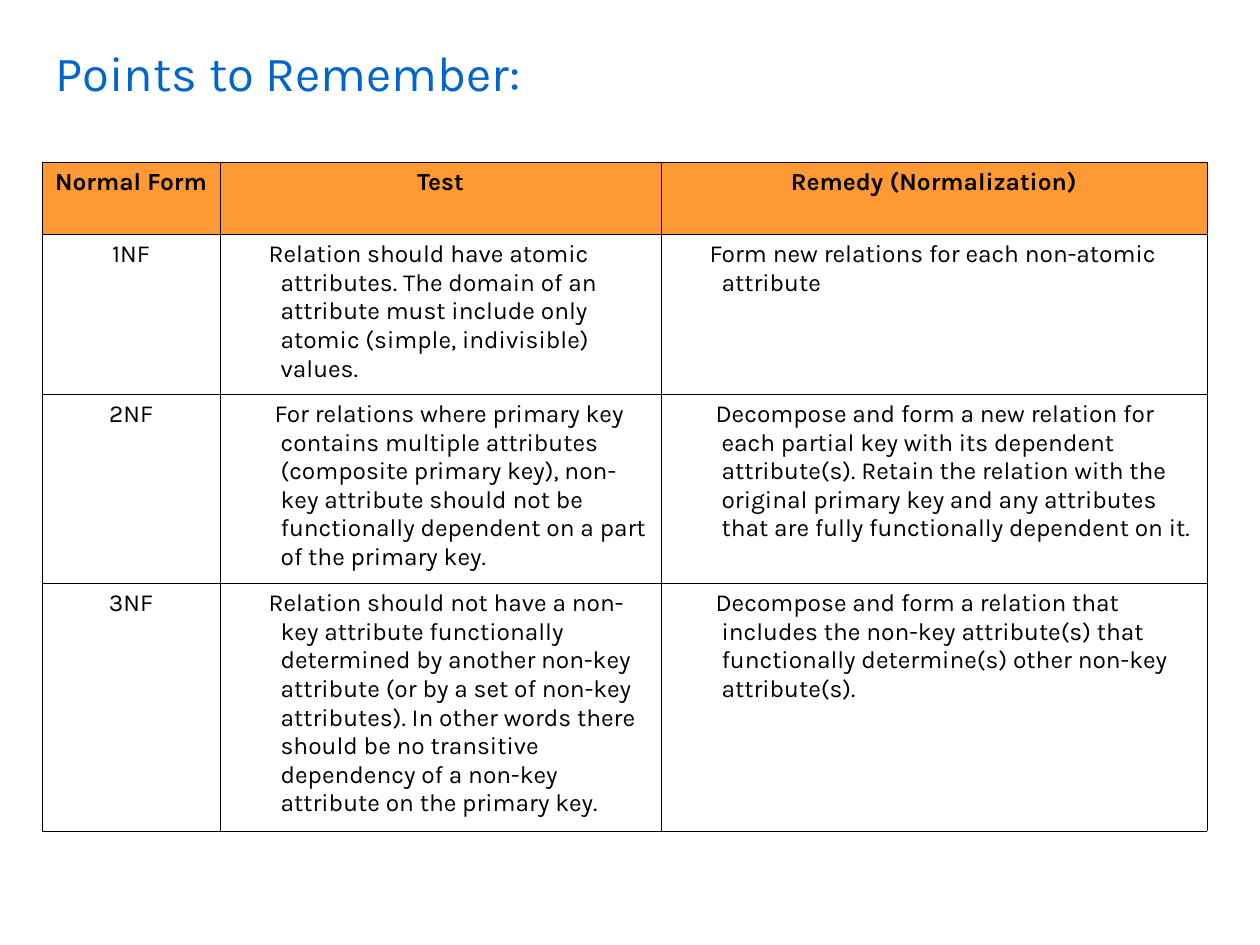
import pptx
import pptx.dml.color
import pptx.enum.text
import pptx.oxml.ns
import pptx.util
from lxml import etree

PX = 914400 // 126
FONT = "Karla"
COLORS = {"title": "0066CC", "header": "FF9933", "text": "000000", "border": "000000"}
BORDER_WIDTH = 0.45
NO_TABLE_STYLE = "{2D5ABB26-0587-4C30-8999-92F81FD0307C}"
ALIGN = pptx.enum.text.PP_ALIGN

# The table has an empty merged row above the header and an empty row below
COLUMN_WIDTHS = [178, 441, 546]
ROW_HEIGHTS = [36, 72, 160, 189, 248, 43]
HANGING_MARGIN = 48

HEADERS = ["Normal Form", "Test", "Remedy (Normalization)"]
# Each explanation is paired with its first-line outdent
FORMS = [
    ("1NF",
     ("Relation should have atomic attributes. The domain of an attribute must "
      "include only atomic (simple, indivisible) values.", 12),
     ("Form new relations for each non-atomic attribute", 12)),
    ("2NF",
     ("For relations where primary key contains multiple attributes (composite "
      "primary key), non-key attribute should not be functionally dependent on "
      "a part of the primary key.", 6),
     ("Decompose and form a new relation for each partial key with its dependent "
      "attribute(s). Retain the relation with the original primary key and any "
      "attributes that are fully functionally dependent on it.", 6)),
    ("3NF",
     ("Relation should not have a non-key attribute functionally determined by "
      "another non-key attribute (or by a set of non-key attributes). In other "
      "words there should be no transitive dependency of a non-key attribute on "
      "the primary key.", 12),
     ("Decompose and form a relation that includes the non-key attribute(s) that "
      "functionally determine(s) other non-key attribute(s).", 6)),
]


def px(length):
    return pptx.util.Emu(length * PX)


def color(name):
    return pptx.dml.color.RGBColor.from_string(COLORS[name])


def add_span(para, text, size, color_name, bold=False):
    span = para.add_run()
    span.text = text
    span.font.name = FONT
    span.font.size = pptx.util.Pt(size)
    span.font.bold = bold
    span.font.color.rgb = color(color_name)


def add_title(page, text):
    box = page.shapes.add_textbox(px(43), px(36), px(1182), px(71))
    frame = box.text_frame
    frame.word_wrap = True
    frame.vertical_anchor = pptx.enum.text.MSO_ANCHOR.MIDDLE
    add_span(frame.paragraphs[0], text, 28, "title")


def add_table(page):
    frame = page.shapes.add_table(len(ROW_HEIGHTS), len(COLUMN_WIDTHS), px(42), px(126),
                                  px(sum(COLUMN_WIDTHS)), px(sum(ROW_HEIGHTS)))
    table = frame.table
    table.first_row = table.horz_banding = False
    style = frame._element.find(".//" + pptx.oxml.ns.qn("a:tableStyleId"))
    style.text = NO_TABLE_STYLE
    for column, width in zip(table.columns, COLUMN_WIDTHS):
        column.width = px(width)
    for row, height in zip(table.rows, ROW_HEIGHTS):
        row.height = px(height)
    return table


def set_borders(cell, sides):
    qn = pptx.oxml.ns.qn
    properties = cell._tc.get_or_add_tcPr()
    for side in sides:
        line = etree.SubElement(properties, qn("a:ln" + side),
                                w=str(pptx.util.Pt(BORDER_WIDTH)))
        fill = etree.SubElement(line, qn("a:solidFill"))
        etree.SubElement(fill, qn("a:srgbClr"), val=COLORS["border"])


def format_cell(cell, sides, fill_name=None):
    cell.margin_left = cell.margin_right = pptx.util.Inches(0.1)
    cell.margin_top = cell.margin_bottom = pptx.util.Inches(0.05)
    set_borders(cell, sides)
    if fill_name:
        cell.fill.solid()
        cell.fill.fore_color.rgb = color(fill_name)
    else:
        cell.fill.background()


def fill_centered(cell, text, bold=False):
    para = cell.text_frame.paragraphs[0]
    para.alignment = ALIGN.CENTER
    add_span(para, text, 14, "text", bold)


def fill_hanging(cell, text, outdent):
    para = cell.text_frame.paragraphs[0]
    para.alignment = ALIGN.LEFT
    properties = para._p.get_or_add_pPr()
    properties.set("marL", str(px(HANGING_MARGIN)))
    properties.set("indent", str(-px(outdent)))
    add_span(para, text, 14, "text")


def format_empty(cell, side):
    format_cell(cell, side)
    # A small paragraph size keeps the row from growing
    etree.SubElement(cell.text_frame.paragraphs[0]._p,
                     pptx.oxml.ns.qn("a:endParaRPr"), sz="1000")


def main():
    deck = pptx.Presentation()
    deck.slide_width = pptx.util.Inches(10)
    deck.slide_height = pptx.util.Inches(7.5)
    page = deck.slides.add_slide(deck.slide_layouts[6])

    add_title(page, "Points to Remember:")
    table = add_table(page)
    last_row = len(ROW_HEIGHTS) - 1

    # Empty outer rows
    for column in range(len(COLUMN_WIDTHS)):
        format_empty(table.cell(0, column), "B")
        format_empty(table.cell(last_row, column), "T")
    table.cell(0, 0).merge(table.cell(0, len(COLUMN_WIDTHS) - 1))

    # Header row
    for column, text in enumerate(HEADERS):
        cell = table.cell(1, column)
        format_cell(cell, "LRTB", "header")
        fill_centered(cell, text, bold=True)

    # One row for each normal form
    for row, (name, *explanations) in enumerate(FORMS, start=2):
        for column in range(len(COLUMN_WIDTHS)):
            format_cell(table.cell(row, column), "LRTB")
        fill_centered(table.cell(row, 0), name)
        for column, (text, outdent) in enumerate(explanations, start=1):
            fill_hanging(table.cell(row, column), text, outdent)

    deck.save("out.pptx")


if __name__ == "__main__":
    main()
